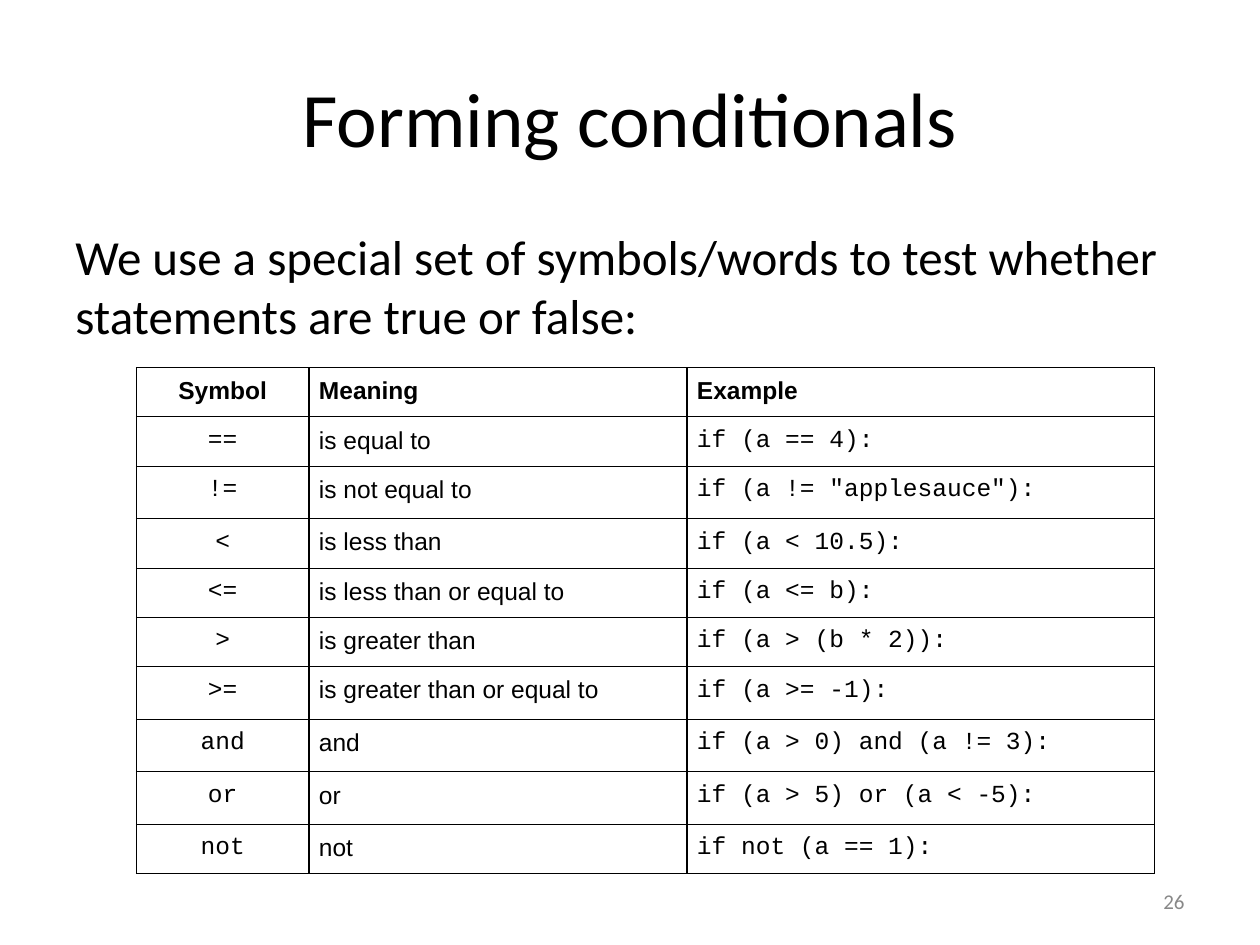
from lxml.etree import SubElement
from pptx import Presentation
from pptx.dml.color import RGBColor
from pptx.enum.text import MSO_ANCHOR, PP_ALIGN
from pptx.oxml.ns import qn
from pptx.util import Cm, Pt

BLACK = RGBColor(0x00, 0x00, 0x00)
GRAY = RGBColor(0x88, 0x88, 0x88)

# Content
TITLE = "Forming conditionals"
INTRODUCTION = ("We use a special set of symbols/words to test whether "
                "statements are true or false:")
PAGE_NUMBER = "26"
HEADINGS = ("Symbol", "Meaning", "Example")
CONDITIONALS = [
    ("==", "is equal to", "if (a == 4):"),
    ("!=", "is not equal to", 'if (a != "applesauce"):'),
    ("<", "is less than", "if (a < 10.5):"),
    ("<=", "is less than or equal to", "if (a <= b):"),
    (">", "is greater than", "if (a > (b * 2)):"),
    (">=", "is greater than or equal to", "if (a >= -1):"),
    ("and", "and", "if (a > 0) and (a != 3):"),
    ("or", "or", "if (a > 5) or (a < -5):"),
    ("not", "not", "if not (a == 1):"),
]

# Table layout
COLUMN_WIDTHS = (3.48, 7.62, 9.42)
COLUMN_ALIGNMENTS = (PP_ALIGN.CENTER, PP_ALIGN.LEFT, PP_ALIGN.LEFT)
COLUMN_FONTS = ("Courier New", "Arial", "Courier New")
ROW_HEIGHT, TALL_ROW_HEIGHT = 0.79, 1.06
TALL_SYMBOLS = ("!=", ">=", "and", "or")
CELL_MARGIN = Cm(0.2)

# Font formats
TITLE_FONT = {"name": "Calibri", "size": Pt(44)}
BODY_FONT = {"name": "Calibri", "size": Pt(28)}
NUMBER_FONT = {"name": "Calibri", "size": Pt(12)}
CELL_FONT = {"size": Pt(14)}


def write_text(text_frame, text, font, alignment, color=BLACK):
    paragraph = text_frame.paragraphs[0]
    paragraph.alignment = alignment
    run = paragraph.add_run()
    run.text = text
    for name, value in font.items():
        setattr(run.font, name, value)
    run.font.color.rgb = color


def add_text(slide, box, text, font, alignment, anchor, color=BLACK):
    shape = slide.shapes.add_textbox(*(Cm(length) for length in box))
    shape.text_frame.word_wrap = True
    shape.text_frame.vertical_anchor = anchor
    write_text(shape.text_frame, text, font, alignment, color)


def draw_borders(cell):
    properties = cell._tc.get_or_add_tcPr()
    for side in ("a:lnL", "a:lnR", "a:lnT", "a:lnB"):
        line = SubElement(properties, qn(side), w=str(Pt(0.75)))
        fill = SubElement(line, qn("a:solidFill"))
        SubElement(fill, qn("a:srgbClr"), val=str(BLACK))


def add_conditionals_table(slide):
    rows = [HEADINGS] + CONDITIONALS
    heights = [TALL_ROW_HEIGHT if row[0] in TALL_SYMBOLS else ROW_HEIGHT for row in rows]
    table = slide.shapes.add_table(
        len(rows), len(HEADINGS), Cm(2.75), Cm(7.41),
        Cm(sum(COLUMN_WIDTHS)), Cm(sum(heights))).table
    table.first_row = table.horz_banding = False
    for column, width in zip(table.columns, COLUMN_WIDTHS):
        column.width = Cm(width)
    for row_index, (texts, height) in enumerate(zip(rows, heights)):
        table.rows[row_index].height = Cm(height)
        is_heading = row_index == 0
        for column_index, text in enumerate(texts):
            cell = table.cell(row_index, column_index)
            for side in ("left", "right", "top", "bottom"):
                setattr(cell, f"margin_{side}", CELL_MARGIN)
            draw_borders(cell)
            cell.fill.background()
            font_name = "Arial" if is_heading else COLUMN_FONTS[column_index]
            write_text(cell.text_frame, text,
                       {**CELL_FONT, "name": font_name, "bold": is_heading},
                       COLUMN_ALIGNMENTS[column_index])


def main():
    presentation = Presentation()
    presentation.slide_width, presentation.slide_height = Cm(25.4), Cm(19.05)
    slide = presentation.slides.add_slide(presentation.slide_layouts[5])

    # Title
    title = slide.shapes.title
    title.left, title.top, title.width, title.height = Cm(1.27), Cm(0.76), Cm(22.86), Cm(3.18)
    title.text_frame.vertical_anchor = MSO_ANCHOR.MIDDLE
    write_text(title.text_frame, TITLE, TITLE_FONT, PP_ALIGN.CENTER)

    # Introduction, table and page number
    add_text(slide, (1.27, 4.45, 22.86, 12.57), INTRODUCTION, BODY_FONT,
             PP_ALIGN.LEFT, MSO_ANCHOR.TOP)
    add_conditionals_table(slide)
    add_text(slide, (18.2, 17.66, 5.93, 1.01), PAGE_NUMBER, NUMBER_FONT,
             PP_ALIGN.RIGHT, MSO_ANCHOR.MIDDLE, GRAY)

    presentation.save("out.pptx")


if __name__ == "__main__":
    main()
